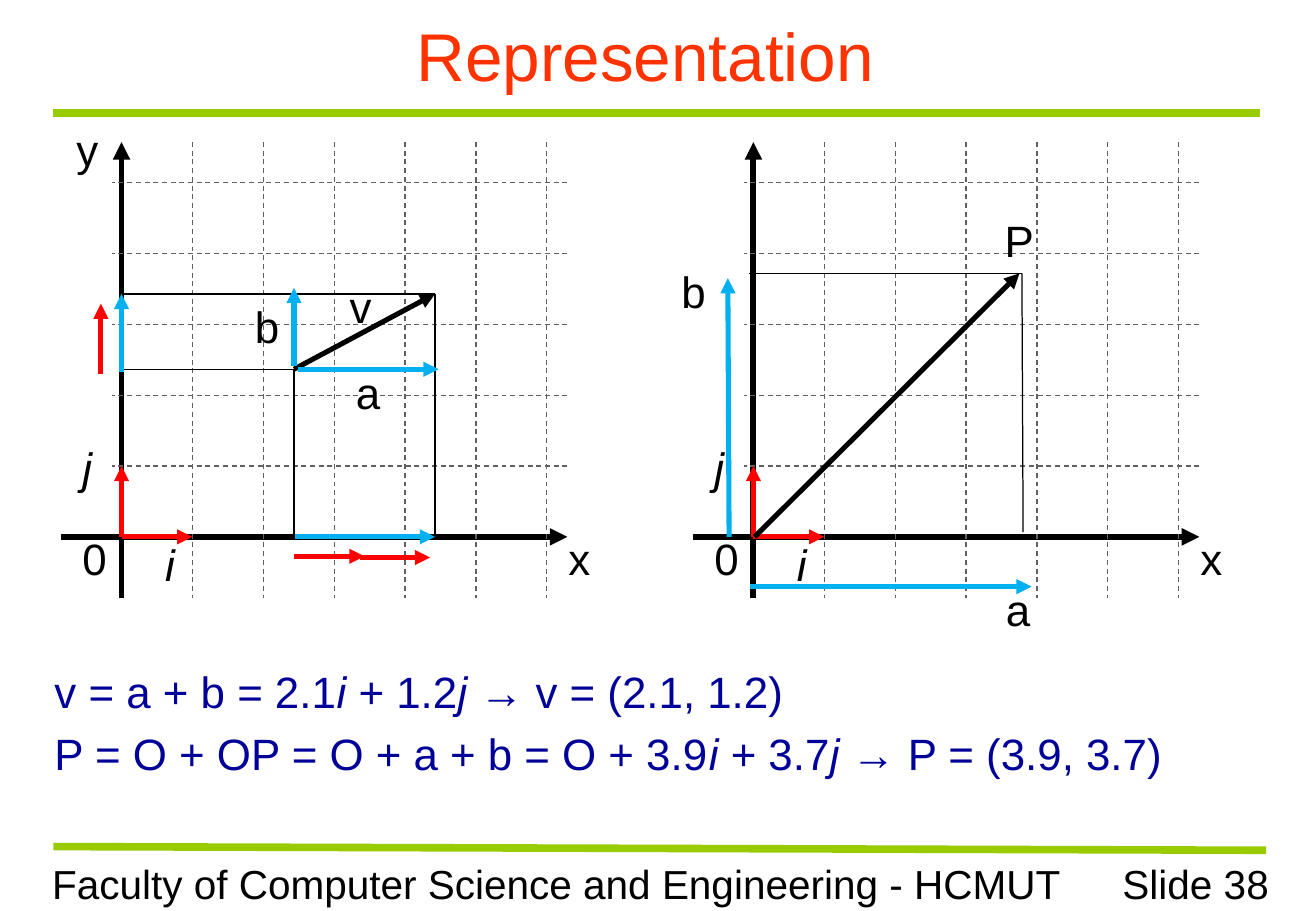
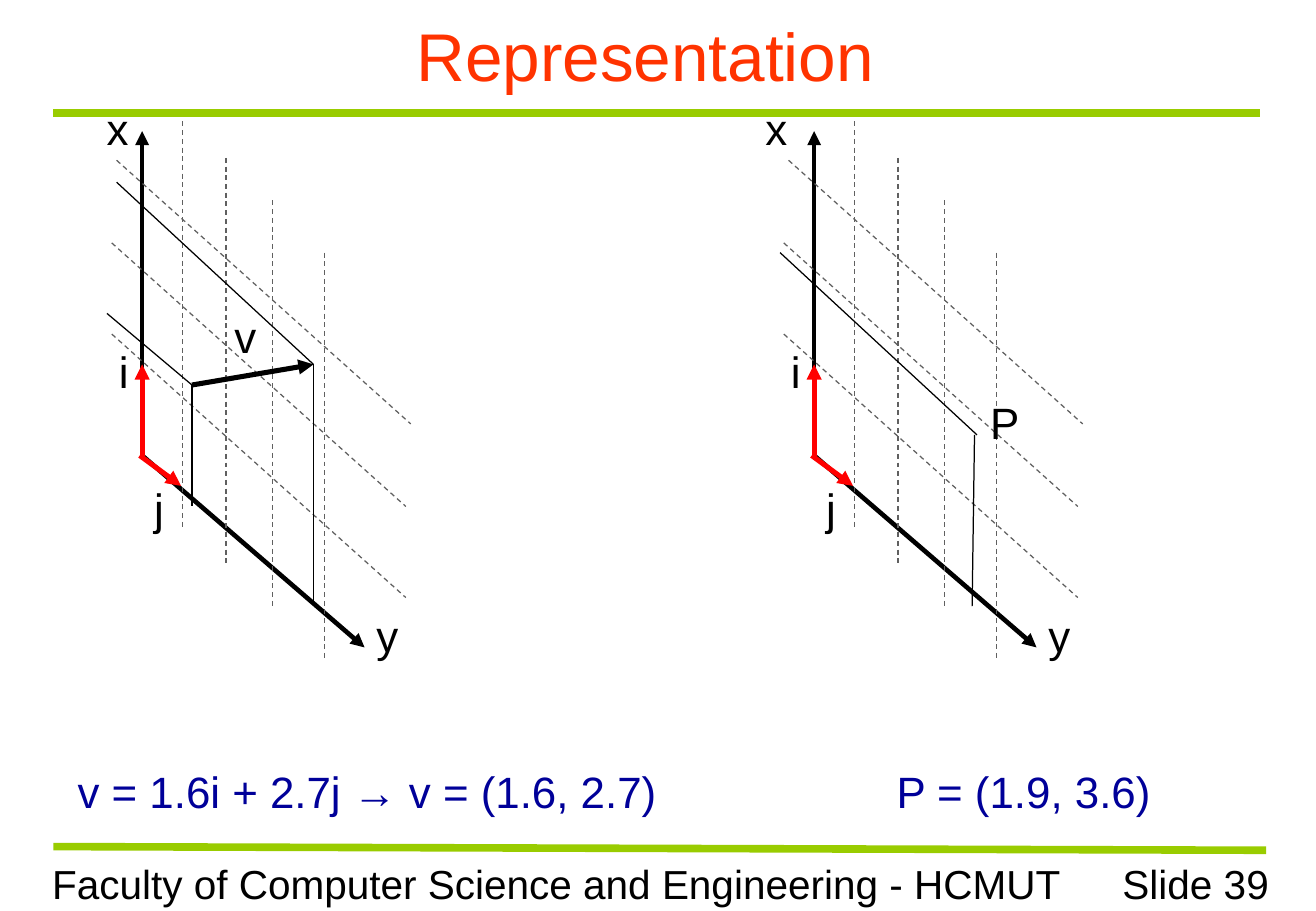
from dataclasses import dataclass

from lxml.etree import SubElement
from pptx import Presentation
from pptx.dml.color import RGBColor
from pptx.enum.dml import MSO_LINE
from pptx.enum.shapes import MSO_CONNECTOR
from pptx.enum.text import MSO_ANCHOR, PP_ALIGN
from pptx.oxml.ns import qn
from pptx.util import Inches, Pt

BLACK = RGBColor(0x00, 0x00, 0x00)
RED = RGBColor(0xFF, 0x00, 0x00)
SKY = RGBColor(0x00, 0xB0, 0xF0)
GREY = RGBColor(0x60, 0x60, 0x60)
GREEN = RGBColor(0x99, 0xCC, 0x00)
ORANGE = RGBColor(0xFF, 0x33, 0x00)
NAVY = RGBColor(0x00, 0x00, 0x99)
FONT = "Arial"
UNIT = 7 / 12
AXIS_Y = 4.42


@dataclass(frozen=True)
class LineStyle:
    """Look of a straight line."""
    color: RGBColor
    width: float
    arrow: bool = False
    dashed: bool = False


RULE = LineStyle(GREEN, 4.5)
AXIS = LineStyle(BLACK, 3.5, arrow=True)
OBLIQUE_AXIS = LineStyle(BLACK, 2.75, arrow=True)
VECTOR = LineStyle(BLACK, 3, arrow=True)
BASIS = LineStyle(RED, 3, arrow=True)
COMPONENT = LineStyle(SKY, 3, arrow=True)
GRID = LineStyle(GREY, 0.75, dashed=True)
GUIDE = LineStyle(BLACK, 0.75)


def style_font(font, size, color):
    """Apply the shared typeface with a size and colour."""
    font.name = FONT
    font.size = Pt(size)
    font.color.rgb = color


def add_lines(slide, style, *segments):
    """Draw (x1, y1, x2, y2) segments in one style."""
    for segment in segments:
        connector = slide.shapes.add_connector(
            MSO_CONNECTOR.STRAIGHT, *(Inches(value) for value in segment))
        line = connector.line
        line.color.rgb = style.color
        line.width = Pt(style.width)
        if style.dashed:
            line.dash_style = MSO_LINE.DASH
        properties = connector._element.spPr
        if style.arrow:
            SubElement(properties.find(qn("a:ln")), qn("a:tailEnd"), type="triangle")
        SubElement(properties, qn("a:effectLst"))


def add_text(slide, box, lines, size=26, color=BLACK, align=PP_ALIGN.LEFT):
    """Add a text box; asterisks enclose italic passages."""
    frame = slide.shapes.add_textbox(*(Inches(value) for value in box)).text_frame
    frame.word_wrap = True
    for index, text in enumerate(lines):
        paragraph = frame.add_paragraph() if index else frame.paragraphs[0]
        paragraph.alignment = align
        if index:
            paragraph.space_before = Pt(6)
        style_font(paragraph.font, size, color)
        for position, passage in enumerate(text.split("*")):
            if passage:
                run = paragraph.add_run()
                run.text = passage
                if position % 2:
                    run.font.italic = True


def add_labels(slide, *labels):
    """Add (text, left, top) diagram labels."""
    for text, left, top in labels:
        add_text(slide, (left, top, 0.5, 0.54), [text])


def add_slide(presentation, number):
    """Add a slide with its title, rules and footer."""
    slide = presentation.slides.add_slide(presentation.slide_layouts[5])
    title = slide.shapes.title
    title.left, title.top, title.width, title.height = (
        Inches(value) for value in (0.33, 0.1, 9.96, 0.7))
    title.text_frame.text = "Representation"
    title.text_frame.vertical_anchor = MSO_ANCHOR.MIDDLE
    paragraph = title.text_frame.paragraphs[0]
    paragraph.alignment = PP_ALIGN.CENTER
    style_font(paragraph.font, 40, ORANGE)
    add_lines(slide, RULE, (0.44, 0.93, 10.37, 0.93), (0.44, 6.97, 10.42, 7))
    add_text(slide, (0.33, 7.02, 8.52, 0.5),
             ["Faculty of Computer Science and Engineering - HCMUT"], 24)
    add_text(slide, (8.55, 7.02, 1.99, 0.5), [f"Slide {number}"], 24,
             align=PP_ALIGN.RIGHT)
    return slide


def add_square_frame(slide, x):
    """Draw perpendicular axes, grid and basis with the origin at x."""
    add_lines(slide, AXIS, (x - 0.5, AXIS_Y, x + 3.67, AXIS_Y), (x, 4.92, x, 1.17))
    columns = [x + UNIT * step for step in range(1, 7)]
    rows = [AXIS_Y - UNIT * step for step in range(1, 6)]
    add_lines(slide, GRID, *((column, 1.17, column, 4.92) for column in columns))
    add_lines(slide, GRID, *((x + 3.67, row, x - 0.08, row) for row in rows))
    add_lines(slide, BASIS, (x, AXIS_Y, x + UNIT, AXIS_Y), (x, AXIS_Y, x, AXIS_Y - UNIT))
    add_labels(slide, ("x", x + 3.58, 4.33), ("0", x - 0.42, 4.33),
               ("*i*", x + 0.26, 4.38), ("*j*", x - 0.42, 3.58))


def add_oblique_frame(slide, x):
    """Draw slanted axes, grid and basis with the origin at x."""
    add_lines(slide, OBLIQUE_AXIS, (x, 3.75, x, 1.08), (x, 3.75, x + 1.83, 5.33))
    slants = ((-0.25, 2.75), (-0.25, 2), (-0.21, 1.32))
    add_lines(slide, GRID, *((x + shift, top, x + shift + 2.42, top + 2.17)
                             for shift, top in slants))
    columns = ((0.33, 1), (0.69, 1.3), (1.07, 1.65), (1.5, 2.08))
    add_lines(slide, GRID, *((x + shift, top, x + shift, top + 3.34)
                             for shift, top in columns))
    add_lines(slide, BASIS, (x, 3.75, x, 3), (x - 0.02, 3.75, x + 0.32, 4))
    add_labels(slide, ("y", x + 1.83, 4.96), ("i", x - 0.29, 2.79), ("j", x, 3.92))


def build_square_slide(presentation):
    """Show a vector and a point on perpendicular axes."""
    slide = add_slide(presentation, 38)
    add_text(slide, (0.35, 5.42, 9.75, 1.2),
             ["v = a + b = 2.1*i* + 1.2*j* → v = (2.1, 1.2)",
              "P = O + OP = O + a + b = O + 3.9*i* + 3.7*j* → P = (3.9, 3.7)"],
             color=NAVY)

    add_square_frame(slide, 1)
    add_lines(slide, VECTOR, (2.42, 3.04, 3.58, 2.42))
    add_lines(slide, GUIDE, (2.42, 3.04, 2.42, AXIS_Y), (3.58, 2.42, 3.58, AXIS_Y),
              (2.42, 3.04, 1, 3.04), (3.58, 2.42, 1, 2.42))
    add_lines(slide, BASIS, (0.83, 3.08, 0.83, 2.5),
              (2.42, 4.58, 3, 4.58), (2.96, 4.59, 3.54, 4.59))
    add_lines(slide, COMPONENT, (1, 3.06, 1, 2.42), (2.43, AXIS_Y, 3.58, AXIS_Y),
              (2.45, 3.04, 3.61, 3.04), (2.42, 3.01, 2.42, 2.37))
    add_labels(slide, ("y", 0.53, 0.96), ("v", 2.78, 2.25),
               ("b", 2, 2.42), ("a", 2.83, 2.96))

    add_square_frame(slide, 6.2)
    add_lines(slide, GUIDE, (8.41, 2.25, 8.42, 4.38), (8.41, 2.25, 6.16, 2.25))
    add_lines(slide, COMPONENT, (6, AXIS_Y, 5.99, 2.29), (6.17, 4.83, 8.49, 4.83))
    add_lines(slide, VECTOR, (6.21, AXIS_Y, 8.39, 2.25))
    add_labels(slide, ("P", 8.17, 1.71), ("b", 5.51, 2.13), ("a", 8.18, 4.75))


def build_oblique_slide(presentation):
    """Show a vector and a point on slanted axes."""
    slide = add_slide(presentation, 39)
    add_text(slide, (0.54, 6.25, 5.21, 0.63),
             ["v = 1.6i + 2.7j → v = (1.6, 2.7)"], color=NAVY)
    add_text(slide, (7.28, 6.25, 2.97, 0.63), ["P = (1.9, 3.6)"], color=NAVY)

    add_oblique_frame(slide, 1.17)
    add_lines(slide, VECTOR, (1.58, 3.17, 2.58, 3))
    add_lines(slide, GUIDE, (2.58, 3, 2.58, 4.99), (1.58, 3.17, 1.58, 4.17),
              (2.58, 3, 0.96, 1.5), (1.58, 3.17, 0.88, 2.58))
    add_labels(slide, ("x", 0.78, 0.79), ("v", 1.83, 2.5))

    add_oblique_frame(slide, 6.7)
    add_lines(slide, GUIDE, (8.02, 3.58, 8, 4.99), (8.04, 3.58, 6.42, 2.08))
    add_labels(slide, ("x", 6.2, 0.79), ("P", 8.05, 3.21))


def main():
    """Build and save the presentation."""
    presentation = Presentation()
    presentation.slide_width = Inches(10.83)
    presentation.slide_height = Inches(7.5)
    build_square_slide(presentation)
    build_oblique_slide(presentation)
    presentation.save("out.pptx")


if __name__ == "__main__":
    main()
